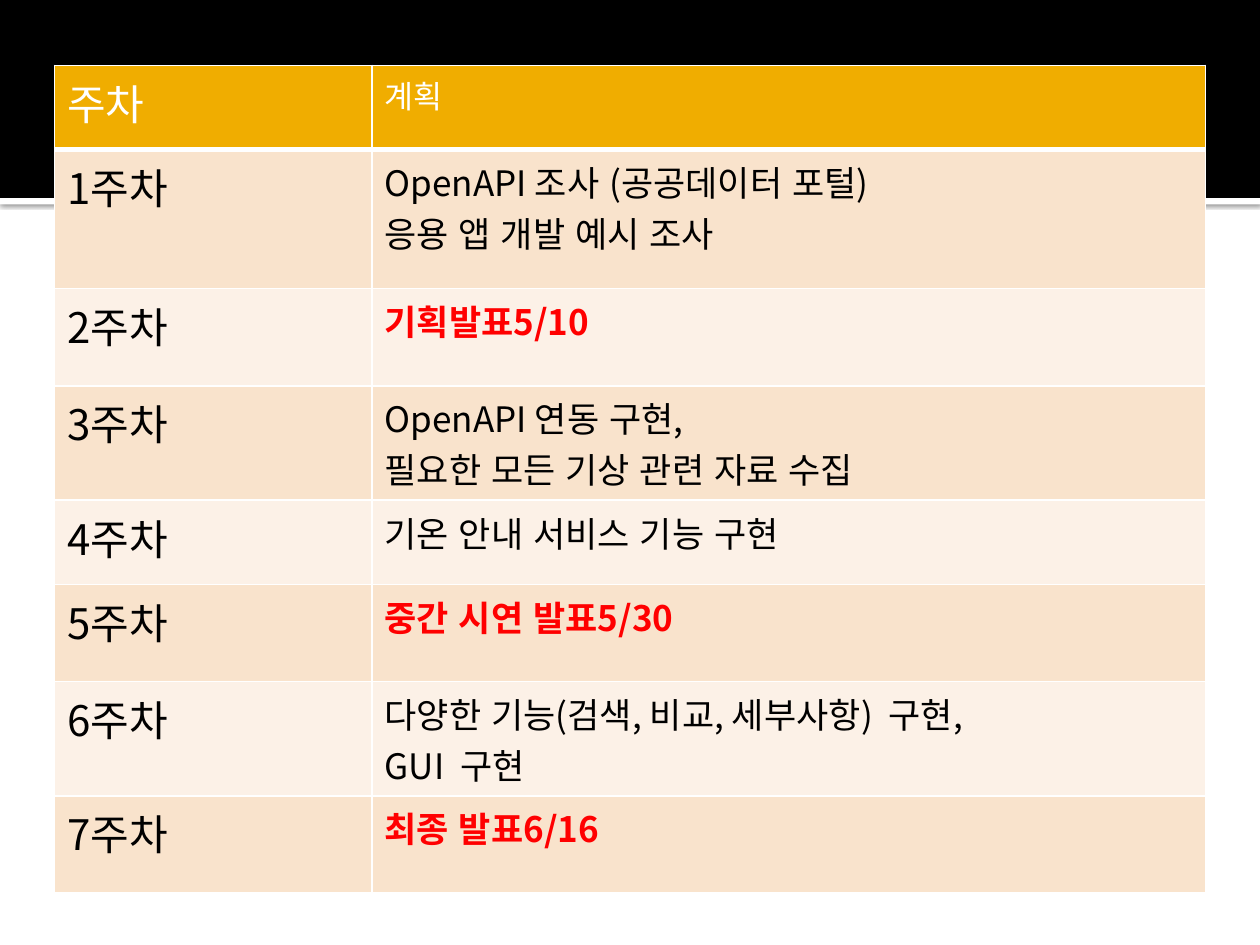
from lxml.etree import SubElement
from pptx import Presentation
from pptx.dml.color import RGBColor
from pptx.enum.lang import MSO_LANGUAGE_ID
from pptx.enum.shapes import MSO_SHAPE
from pptx.oxml.ns import qn
from pptx.util import Cm, Pt

WHITE = RGBColor(0xFF, 0xFF, 0xFF)
BLACK = RGBColor(0, 0, 0)
RED = RGBColor(0xFF, 0, 0)
GOLD = RGBColor(0xF0, 0xAD, 0)
PEACH = RGBColor(0xF9, 0xE3, 0xCC)
CREAM = RGBColor(0xFC, 0xF1, 0xE7)

FONT = "Noto Sans CJK KR"
BASE = {"name": FONT, "language_id": MSO_LANGUAGE_ID.KOREAN}
WEEK = {"size": Pt(24), "bold": False}
TASK = {"size": Pt(20), "bold": False}
EVENT = {"size": Pt(20), "bold": True}
TITLE = {"size": Pt(18), "bold": False}

# Row height in cm, plan text, whether it is a presentation day
PLAN = [
    (2.8, "OpenAPI 조사 (공공데이터 포털)\n응용 앱 개발 예시 조사", False),
    (1.96, "기획발표5/10", True),
    (1.96, "OpenAPI 연동 구현,\n필요한 모든 기상 관련 자료 수집", False),
    (1.7, "기온 안내 서비스 기능 구현", False),
    (1.96, "중간 시연 발표5/30", True),
    (1.73, "다양한 기능(검색, 비교, 세부사항)  구현,\nGUI  구현", False),
    (1.96, "최종 발표6/16", True),
]
HEAD = 1.7
COLS = (6.4, 16.8)


def add_bar(slide, box, color):
    bar = slide.shapes.add_shape(MSO_SHAPE.RECTANGLE, *map(Cm, box))
    bar.shadow.inherit = False
    bar.fill.solid()
    bar.fill.fore_color.rgb = color
    bar.line.fill.background()
    return bar


def add_shade(shape):
    """Give the shape a soft shadow that falls straight down."""
    effects = shape.element.spPr.find(qn("a:effectLst"))
    shade = SubElement(effects, qn("a:outerShdw"), blurRad=str(Pt(2.5)),
                       dist=str(Pt(0.8)), dir="5400000",
                       algn="t", rotWithShape="0")
    color = SubElement(shade, qn("a:srgbClr"), val=str(BLACK))
    SubElement(color, qn("a:alpha"), val="60000")


def add_band(slide, box):
    """Draw the black band with a white strip under it."""
    left, top, width, height = box
    add_shade(add_bar(slide, (left, top + height, width, 0.13), WHITE))
    add_bar(slide, box, BLACK)


def set_edges(cell, base):
    """Draw white cell borders; base is the bottom width in points."""
    props = cell._tc.get_or_add_tcPr()
    for side, width in {"L": 1, "R": 1, "T": 1, "B": base}.items():
        line = SubElement(props, qn(f"a:ln{side}"), w=str(Pt(width)))
        fill = SubElement(line, qn("a:solidFill"))
        SubElement(fill, qn("a:srgbClr"), val=str(WHITE))


def fill_cell(cell, text, style, color, back, base=1):
    set_edges(cell, base)
    cell.fill.solid()
    cell.fill.fore_color.rgb = back
    cell.text = text
    for para in cell.text_frame.paragraphs:
        for run in para.runs:
            for key, value in {**BASE, **style}.items():
                setattr(run.font, key, value)
            run.font.color.rgb = color
            SubElement(run._r.get_or_add_rPr(), qn("a:ea"), typeface=FONT)


def add_plan(slide, left, top):
    heights = [HEAD] + [row[0] for row in PLAN]
    box = (left, top, sum(COLS), sum(heights))
    table = slide.shapes.add_table(len(heights), len(COLS),
                                   *map(Cm, box)).table
    for col, width in zip(table.columns, COLS):
        col.width = Cm(width)
    for row, height in zip(table.rows, heights):
        row.height = Cm(height)
    fill_cell(table.cell(0, 0), "주차", WEEK, WHITE, GOLD, 3)
    fill_cell(table.cell(0, 1), "계획", TITLE, WHITE, GOLD, 3)
    for week, (_, text, event) in enumerate(PLAN, 1):
        back = PEACH if week % 2 else CREAM
        style, color = (EVENT, RED) if event else (TASK, BLACK)
        fill_cell(table.cell(week, 0), f"{week}주차", WEEK, BLACK, back)
        fill_cell(table.cell(week, 1), text, style, color, back)


def main():
    deck = Presentation()
    deck.slide_width, deck.slide_height = Cm(25.4), Cm(19.05)
    slide = deck.slides.add_slide(deck.slide_layouts[6])
    add_band(slide, (0, 0, 25.4, 3.99))
    add_plan(slide, 1.1, 1.32)
    deck.save("out.pptx")


if __name__ == "__main__":
    main()
